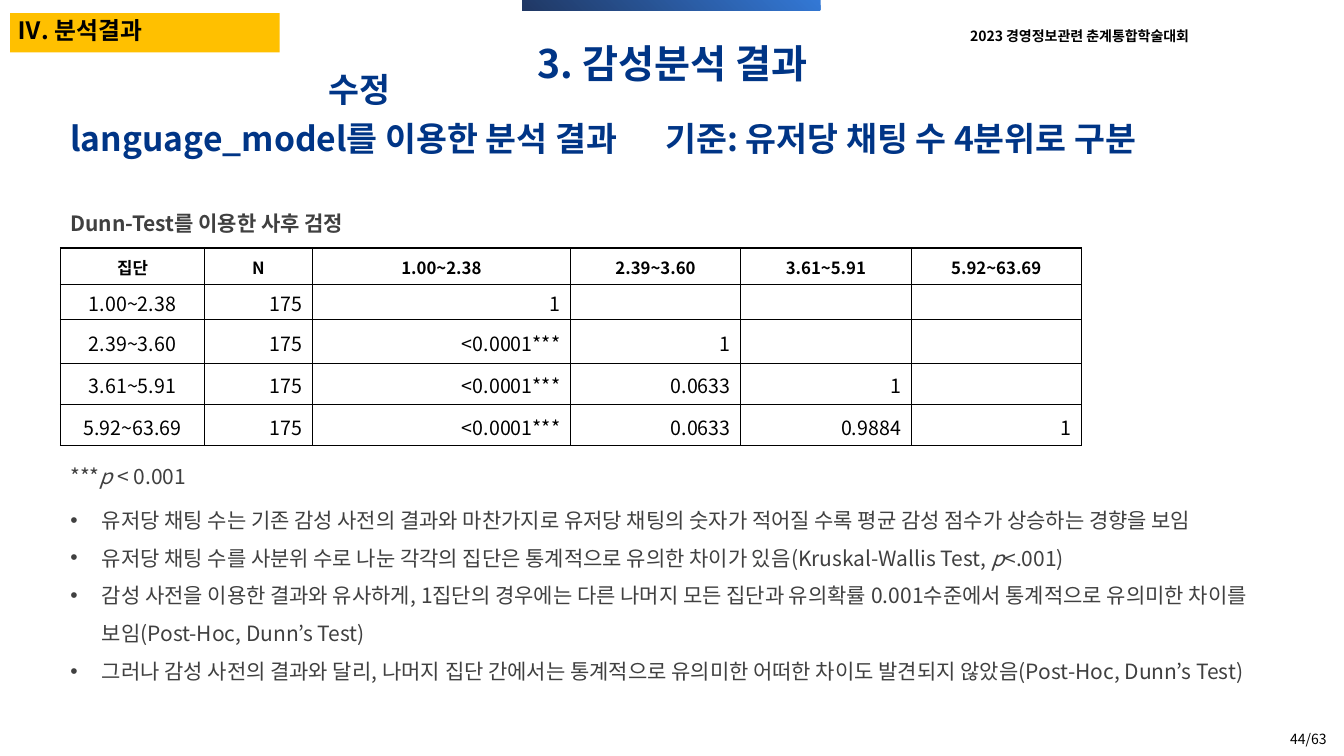
"""Build the sentiment analysis result slide with its Dunn test table."""
from dataclasses import dataclass

from lxml.etree import SubElement
from pptx import Presentation
from pptx.dml.color import RGBColor
from pptx.enum.shapes import MSO_SHAPE
from pptx.enum.text import MSO_ANCHOR, MSO_AUTO_SIZE, PP_ALIGN
from pptx.oxml.ns import qn
from pptx.util import Pt

FONT = "Noto Sans CJK KR"
COLORS = {
    "black": "000000", "title": "003586", "body": "404040",
    "label": "FFC000", "bar_start": "3378D5", "bar_end": "203864",
}
ITALIC = "p"


@dataclass
class TextBox:
    left: float
    top: float
    width: float
    height: float
    paragraphs: list[list[str]]
    size: float
    color: str
    bold: bool = False
    align: PP_ALIGN = PP_ALIGN.LEFT
    anchor: MSO_ANCHOR = MSO_ANCHOR.TOP
    spacing: float | None = None
    bullet: bool = False
    tab: float | None = None
    grow: bool = True


@dataclass
class Bar:
    left: float
    top: float
    width: float
    height: float
    rotation: float
    colors: list[str]


BARS = [
    Bar(7.2, 9.36, 192.6, 28.08, 0, ["label"]),
    Bar(475.92, -102.96, 7.2, 213.12, 90, ["bar_start", "bar_end"]),
]

FINDINGS = [
    ["유저당 채팅 수는 기존 감성 사전의 결과와 마찬가지로 유저당 채팅의 숫자가 적어질 수록 평균 감성 점수가 상승하는 경향을 보임"],
    ["유저당 채팅 수를 사분위 수로 나눈 각각의 집단은 통계적으로 유의한 차이가 있음(Kruskal-Wallis Test, ", ITALIC, "<.001)"],
    ["감성 사전을 이용한 결과와 유사하게, 1집단의 경우에는 다른 나머지 모든 집단과 유의확률 0.001수준에서 "
     "통계적으로 유의미한 차이를 보임(Post-Hoc, Dunn’s Test)"],
    ["그러나 감성 사전의 결과와 달리, 나머지 집단 간에서는 통계적으로 유의미한 어떠한 차이도 발견되지 않았음"
     "(Post-Hoc, Dunn’s Test)"],
]

TEXT_BOXES = [
    TextBox(738.72, 508.32, 216, 28.8, [["44/63"]], 10, "black",
            align=PP_ALIGN.RIGHT, anchor=MSO_ANCHOR.BOTTOM, grow=False),
    TextBox(675.36, 15.84, 191.52, 19.44, [["2023 경영정보관련 춘계통합학술대회"]], 10, "black",
            bold=True, align=PP_ALIGN.CENTER),
    TextBox(5.76, 7.92, 141.12, 28.08, [["Ⅳ. 분석결과"]], 17, "black", bold=True),
    TextBox(259.92, 24.48, 440.64, 41.04, [["3. 감성분석 결과"]], 28, "title",
            bold=True, align=PP_ALIGN.CENTER),
    TextBox(43.2, 318.24, 729.36, 31.68, [["***", ITALIC, " < 0.001"]], 15, "body", spacing=1.5),
    TextBox(43.2, 137.52, 729.36, 31.68, [["Dunn-Test를 이용한 사후 검정"]], 15, "body",
            bold=True, spacing=1.5),
    TextBox(43.2, 349.92, 871.2, 194.4, FINDINGS, 15, "body", spacing=1.5, bullet=True),
    TextBox(227.52, 45.36, 100.8, 36, [["수정"]], 24, "title", bold=True),
    TextBox(43.2, 80.64, 856.08, 36,
            [["language_model를 이용한 분석 결과\t기준: 유저당 채팅 수 4분위로 구분"]], 24, "title",
            bold=True, tab=425),
]

GROUPS = ["1.00~2.38", "2.39~3.60", "3.61~5.91", "5.92~63.69"]
P_VALUES = [
    ["1"],
    ["<0.0001***", "1"],
    ["<0.0001***", "0.0633", "1"],
    ["<0.0001***", "0.0633", "0.9884", "1"],
]
COLUMN_WIDTHS = [102.96, 77.04, 184.32, 121.68, 121.68, 121.68]
ROW_HEIGHTS = [25.92, 25.4, 30.96, 29.52, 29.52]


def rgb(name: str) -> RGBColor:
    return RGBColor.from_string(COLORS[name])


def style_paragraph(paragraph, size: float, color: str, bold: bool, align: PP_ALIGN) -> None:
    paragraph.alignment = align
    font = paragraph.font
    font.name, font.size, font.bold = FONT, Pt(size), bold
    font.color.rgb = rgb(color)
    defaults = paragraph._p.pPr.find(qn("a:defRPr"))
    SubElement(defaults, qn("a:ea"), typeface=FONT)


def add_bullet(paragraph) -> None:
    properties = paragraph._p.get_or_add_pPr()
    properties.set("marL", str(Pt(22.5)))
    properties.set("indent", str(-Pt(22.5)))
    SubElement(properties, qn("a:buFont"), typeface="Arial")
    SubElement(properties, qn("a:buChar"), char="•")


def add_tab(paragraph, position: float) -> None:
    tabs = SubElement(paragraph._p.get_or_add_pPr(), qn("a:tabLst"))
    SubElement(tabs, qn("a:tab"), pos=str(Pt(position)), algn="l")


def draw_bar(slide, bar: Bar) -> None:
    shape = slide.shapes.add_shape(
        MSO_SHAPE.RECTANGLE, Pt(bar.left), Pt(bar.top), Pt(bar.width), Pt(bar.height))
    shape.rotation = bar.rotation
    shape.shadow.inherit = False
    shape.line.fill.background()
    if len(bar.colors) == 1:
        shape.fill.solid()
        shape.fill.fore_color.rgb = rgb(bar.colors[0])
        return
    shape.fill.gradient()
    shape.fill.gradient_angle = 315
    for stop, color in zip(shape.fill.gradient_stops, bar.colors):
        stop.color.rgb = rgb(color)


def draw_text(slide, box: TextBox) -> None:
    shape = slide.shapes.add_textbox(Pt(box.left), Pt(box.top), Pt(box.width), Pt(box.height))
    frame = shape.text_frame
    frame.word_wrap = True
    frame.vertical_anchor = box.anchor
    frame.auto_size = MSO_AUTO_SIZE.SHAPE_TO_FIT_TEXT if box.grow else MSO_AUTO_SIZE.NONE
    for index, texts in enumerate(box.paragraphs):
        paragraph = frame.add_paragraph() if index else frame.paragraphs[0]
        if box.spacing:
            paragraph.line_spacing = box.spacing
        if box.bullet:
            add_bullet(paragraph)
        if box.tab:
            add_tab(paragraph, box.tab)
        style_paragraph(paragraph, box.size, box.color, box.bold, box.align)
        for text in texts:
            run = paragraph.add_run()
            run.text = text
            if text == ITALIC:
                run.font.italic = True


def add_borders(cell) -> None:
    properties = cell._tc.get_or_add_tcPr()
    for side in ("lnL", "lnR", "lnT", "lnB"):
        line = SubElement(properties, qn(f"a:{side}"), w=str(Pt(1)))
        fill = SubElement(line, qn("a:solidFill"))
        SubElement(fill, qn("a:srgbClr"), val=COLORS["black"])


def draw_table(slide) -> None:
    rows = [["집단", "N", *GROUPS]]
    rows += [[group, "175", *values] for group, values in zip(GROUPS, P_VALUES)]
    table = slide.shapes.add_table(
        len(rows), len(COLUMN_WIDTHS), Pt(43.2), Pt(177.12),
        Pt(sum(COLUMN_WIDTHS)), Pt(sum(ROW_HEIGHTS))).table
    table.first_row = table.horz_banding = False
    for column, width in zip(table.columns, COLUMN_WIDTHS):
        column.width = Pt(width)
    for row_index, (texts, height) in enumerate(zip(rows, ROW_HEIGHTS)):
        table.rows[row_index].height = Pt(height)
        header = row_index == 0
        for column_index in range(len(COLUMN_WIDTHS)):
            cell = table.cell(row_index, column_index)
            cell.margin_top, cell.margin_bottom = Pt(2), Pt(0)
            cell.vertical_anchor = MSO_ANCHOR.MIDDLE
            add_borders(cell)
            cell.fill.background()
            if column_index < len(texts):
                cell.text = texts[column_index]
            centered = header or column_index == 0
            style_paragraph(cell.text_frame.paragraphs[0], 12 if header else 14, "black", header,
                            PP_ALIGN.CENTER if centered else PP_ALIGN.RIGHT)


def main() -> None:
    presentation = Presentation()
    presentation.slide_width, presentation.slide_height = Pt(960), Pt(540)
    slide = presentation.slides.add_slide(presentation.slide_layouts[6])
    for bar in BARS:
        draw_bar(slide, bar)
    draw_table(slide)
    for box in TEXT_BOXES:
        draw_text(slide, box)
    presentation.save("out.pptx")


if __name__ == "__main__":
    main()
